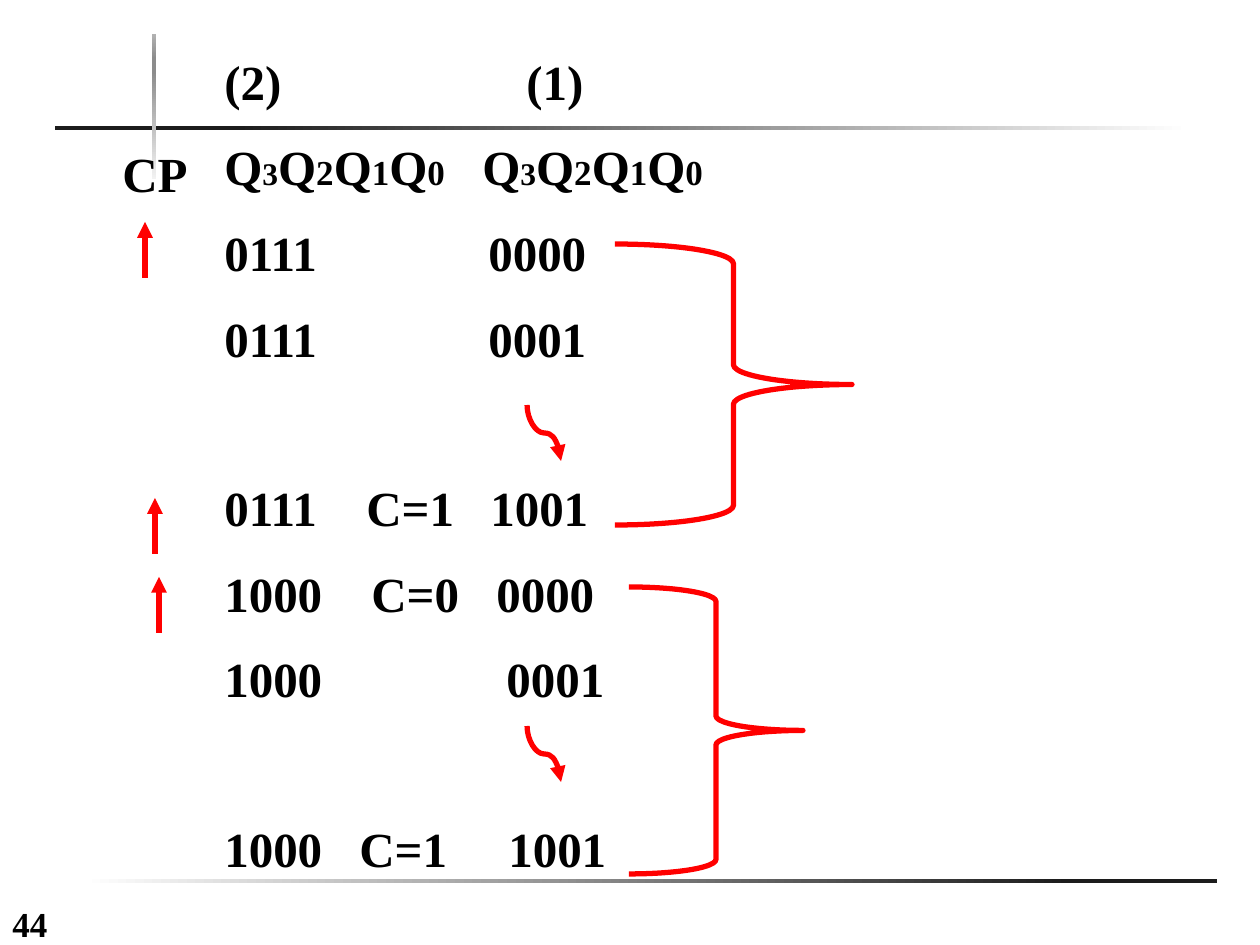
from lxml.etree import SubElement
from pptx import Presentation
from pptx.dml.color import RGBColor
from pptx.enum.shapes import MSO_CONNECTOR, MSO_SHAPE
from pptx.oxml.ns import qn
from pptx.util import Pt

PX = 914400 / 126
FONT = "Times New Roman"
COLORS = {"red": "FF0000", "text": "000000", "dark": "1C1C1C", "white": "FFFFFF",
          "pale": "F2F2F2", "gray": "8C8C8C", "silver": "B2B2B2"}


def emu(*sizes):
    return [round(size * PX) for size in sizes]


def style(font, size):
    font.name, font.size, font.bold = FONT, Pt(size), True
    font.color.rgb = RGBColor.from_string(COLORS["text"])


deck = Presentation()
deck.slide_width, deck.slide_height = emu(1260, 945)
slide = deck.slides.add_slide(deck.slide_layouts[6])
shapes = slide.shapes

# Fading rules: box, angle, gradient stops
rules = [
    ((83, 879, 1134, 4), 0, [(0, "white"), (87, "dark")]),
    ((55, 126, 1134, 4), 0, [(16, "dark"), (100, "white")]),
    ((152, 34, 4, 145), 90, [(0, "pale"), (74, "gray"), (83, "gray"), (100, "silver")]),
]
for box, angle, stops in rules:
    rule = shapes.add_shape(MSO_SHAPE.RECTANGLE, *emu(*box))
    rule.shadow.inherit = False
    rule.line.fill.background()
    rule.fill.gradient()
    rule.fill.gradient_angle = angle
    ramp = rule._element.spPr.find(".//" + qn("a:gsLst"))
    for stop in list(ramp):
        ramp.remove(stop)
    for place, color in stops:
        stop = SubElement(ramp, qn("a:gs"), pos=str(place * 1000))
        SubElement(stop, qn("a:srgbClr"), val=COLORS[color])

# Counter table: text, tab stops, empty rows above
rows = [
    ("(2)\t(1)", [302], 0),
    ("Q3Q2Q1Q0\tQ3Q2Q1Q0", [258], 0),
    ("0111\t0000", [264], 0),
    ("0111\t0001", [264], 0),
    ("0111\tC=1\t1001", [142, 266], 1),
    ("1000\tC=0\t0000", [147, 272], 0),
    ("1000\t0001", [282], 0),
    ("1000\tC=1\t1001", [135, 284], 1),
]
GAP, PITCH = 15.4, 47.6
SUBS = {"3": 18, "2": 20, "1": 20, "0": 20}

table = shapes.add_textbox(*emu(212, 39, 731, 963))
frame = table.text_frame
frame.word_wrap = True
frame.margin_top = emu(12)[0]
for i, (text, tabs, skip) in enumerate(rows):
    para = frame.paragraphs[0] if i == 0 else frame.add_paragraph()
    stops = SubElement(para._p.get_or_add_pPr(), qn("a:tabLst"))
    for tab in emu(*tabs):
        SubElement(stops, qn("a:tab"), pos=str(tab), algn="l")
    if i:
        para.space_before = Pt(GAP + PITCH * skip)
    if text.startswith("Q"):
        for char in text:
            run = para.add_run()
            run.text = char
            style(run.font, SUBS.get(char, 28))
    else:
        para.text = text
        for run in para.runs:
            style(run.font, 28)

# Clock heading and page number
for text, box, size, inset in [("44", (0, 893, 125, 47), 20, 9),
                               ("CP", (110, 131, 125, 72), 28, 12)]:
    label = shapes.add_textbox(*emu(*box))
    label.text_frame.word_wrap = True
    label.text_frame.margin_top = emu(inset)[0]
    label.text_frame.text = text
    style(label.text_frame.paragraphs[0].runs[0].font, size)

# Clock edges point up; curved arrows skip the counts in between
STRAIGHT, CURVE = MSO_CONNECTOR.STRAIGHT, MSO_CONNECTOR.CURVE
arrows = [(STRAIGHT, x, y + 56, x, y) for x, y in [(145, 222), (155, 498), (159, 577)]]
arrows += [(CURVE, 572, y, 516, y + 34) for y in (416, 737)]
for kind, *ends in arrows:
    arrow = shapes.add_connector(kind, *emu(*ends))
    arrow.line.color.rgb = RGBColor.from_string(COLORS["red"])
    arrow.line.width = Pt(3)
    SubElement(arrow.line._get_or_add_ln(), qn("a:tailEnd"), type="triangle")
    SubElement(arrow._element.spPr, qn("a:effectLst"))
    if kind == CURVE:
        arrow._element.spPr.find(qn("a:xfrm")).set("rot", str(270 * 60000))

# Braces around each decade
for box in [(615, 244, 237, 281), (629, 587, 174, 287)]:
    brace = shapes.add_shape(MSO_SHAPE.RIGHT_BRACE, *emu(*box))
    brace.shadow.inherit = False
    brace.fill.background()
    brace.line.color.rgb = RGBColor.from_string(COLORS["red"])
    brace.line.width = Pt(3)

deck.save("out.pptx")
